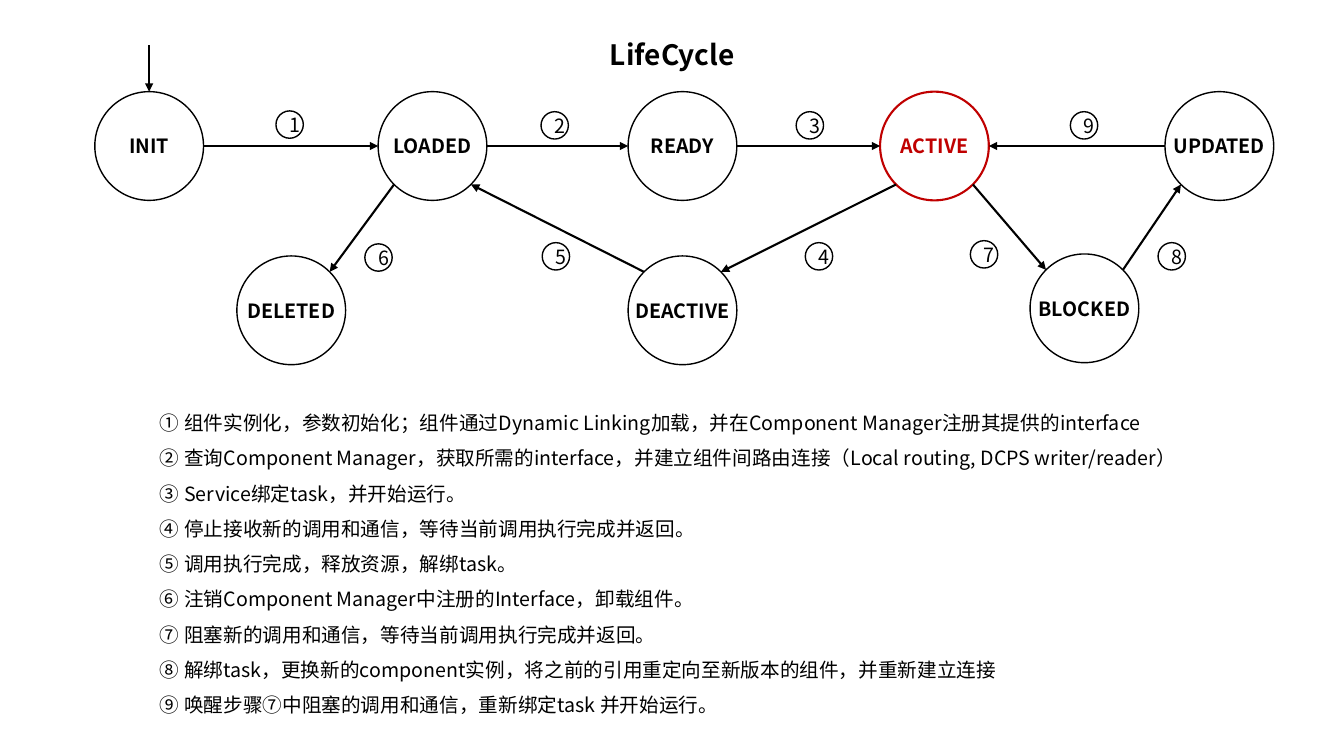
"""Build the component life cycle slide."""
from dataclasses import dataclass
from math import cos, radians, sin

from lxml import etree
from pptx import Presentation
from pptx.dml.color import RGBColor
from pptx.enum.shapes import MSO_CONNECTOR, MSO_SHAPE
from pptx.enum.text import MSO_ANCHOR, MSO_AUTO_SIZE, PP_ALIGN
from pptx.oxml.ns import qn
from pptx.util import Cm, Pt

OVAL = MSO_SHAPE.OVAL
LINE = MSO_CONNECTOR.STRAIGHT
TOP, MIDDLE = MSO_ANCHOR.TOP, MSO_ANCHOR.MIDDLE
CENTER, LEFT = PP_ALIGN.CENTER, PP_ALIGN.LEFT
FIXED = MSO_AUTO_SIZE.NONE


@dataclass(frozen=True)
class Theme:
    """Fonts, colours and sizes of the slide."""
    font: str = "Noto Sans CJK SC"
    ink: RGBColor = RGBColor(0, 0, 0)
    accent: RGBColor = RGBColor(0xC0, 0, 0)
    title: Pt = Pt(20)
    text: Pt = Pt(14)
    thin: Pt = Pt(1)
    thick: Pt = Pt(1.5)


THEME = Theme()
STATE = 2.74
BADGE = 0.69
HIGH, LOW = 3.68, 7.82

STATES = {
    "INIT": (3.76, HIGH),
    "LOADED": (10.9, HIGH),
    "READY": (17.2, HIGH),
    "ACTIVE": (23.55, HIGH),
    "UPDATED": (30.73, HIGH),
    "DELETED": (7.34, LOW),
    "DEACTIVE": (17.2, LOW),
    "BLOCKED": (27.33, 7.77),
}

EAST, SE, SW, WEST, NW, NORTH, NE = 0, 45, 135, 180, 225, 270, 315
MOVES = [
    ("INIT", EAST, "LOADED", WEST, (7.3, 3.14)),
    ("LOADED", EAST, "READY", WEST, (13.98, 3.16)),
    ("READY", EAST, "ACTIVE", WEST, (20.41, 3.16)),
    ("ACTIVE", SW, "DEACTIVE", NE, (20.64, 6.46)),
    ("DEACTIVE", NW, "LOADED", SE, (14.01, 6.46)),
    ("LOADED", SW, "DELETED", NE, (9.54, 6.49)),
    ("ACTIVE", SE, "BLOCKED", NW, (24.8, 6.41)),
    ("BLOCKED", NE, "UPDATED", SW, (29.53, 6.46)),
    ("UPDATED", WEST, "ACTIVE", EAST, (27.32, 3.16)),
]

STEPS = [
    "组件实例化，参数初始化；组件通过Dynamic Linking加载，并在Component Manager注册其提供的interface",
    "查询Component Manager，获取所需的interface，并建立组件间路由连接（Local routing, DCPS writer/reader）",
    "Service绑定task，并开始运行。",
    "停止接收新的调用和通信，等待当前调用执行完成并返回。",
    "调用执行完成，释放资源，解绑task。",
    "注销Component Manager中注册的Interface，卸载组件。",
    "阻塞新的调用和通信，等待当前调用执行完成并返回。",
    "解绑task，更换新的component实例，将之前的引用重定向至新版本的组件，并重新建立连接",
    "唤醒步骤⑦中阻塞的调用和通信，重新绑定task 并开始运行。",
]


def add_run(para, text, size=THEME.text, color=THEME.ink, bold=False):
    """Add one formatted run to a paragraph."""
    run = para.add_run()
    run.text = text
    font = run.font
    font.name, font.size, font.bold = THEME.font, size, bold
    font.color.rgb = color
    etree.SubElement(font._element, qn("a:ea"), typeface=THEME.font)


def add_ring(slide, center, size, text, color=THEME.ink, width=THEME.thin, bold=False):
    """Add an unfilled circle with centred text."""
    x, y = center
    ring = slide.shapes.add_shape(
        OVAL, Cm(x - size / 2), Cm(y - size / 2), Cm(size), Cm(size))
    ring.shadow.inherit = False
    ring.fill.background()
    ring.line.color.rgb = color
    ring.line.width = width
    ring.text_frame.vertical_anchor = MIDDLE
    para = ring.text_frame.paragraphs[0]
    para.alignment = CENTER
    add_run(para, text, color=color, bold=bold)
    return ring


def add_state(slide, name):
    """Add the circle of one state, marking the active one."""
    live = name == "ACTIVE"
    color = THEME.accent if live else THEME.ink
    width = THEME.thick if live else THEME.thin
    ring = add_ring(slide, STATES[name], STATE, name, color, width, True)
    ring.text_frame.word_wrap = False


def find_edge(name, angle):
    """Return the point on a state's circle at an angle in degrees."""
    x, y = STATES[name]
    turn = radians(angle)
    return x + STATE / 2 * cos(turn), y + STATE / 2 * sin(turn)


def add_arrow(slide, start, end):
    """Add a straight arrow between two points."""
    arrow = slide.shapes.add_connector(LINE, *(Cm(v) for v in (*start, *end)))
    arrow.line.color.rgb = THEME.ink
    arrow.line.width = THEME.thick
    etree.SubElement(arrow.line._get_or_add_ln(), qn("a:tailEnd"), type="triangle")
    etree.SubElement(arrow._element.spPr, qn("a:effectLst"))


def place_text(holder, left, top, width, height):
    """Move a placeholder and return its prepared text frame."""
    holder.left, holder.top = Cm(left), Cm(top)
    holder.width, holder.height = Cm(width), Cm(height)
    frame = holder.text_frame
    frame.word_wrap = True
    frame.auto_size = FIXED
    frame.vertical_anchor = TOP
    return frame


def fill_title(holder):
    """Write the slide title."""
    para = place_text(holder, 10.67, 0.81, 12.55, 1.12).paragraphs[0]
    para.alignment = CENTER
    add_run(para, "LifeCycle", THEME.title, bold=True)


def fill_steps(holder):
    """Write the numbered list of steps."""
    frame = place_text(holder, 3.76, 9.93, 28.78, 8.23)
    for i, step in enumerate(STEPS):
        para = frame.add_paragraph() if i else frame.paragraphs[0]
        para.alignment = LEFT
        para.line_spacing = 1.5
        para.space_before = para.space_after = Pt(0)
        props = para._p.get_or_add_pPr()
        props.set("marL", str(Cm(0.63)))
        props.set("indent", str(Cm(-0.63)))
        etree.SubElement(props, qn("a:buFont"), typeface=THEME.font)
        etree.SubElement(props, qn("a:buAutoNum"), type="circleNumDbPlain")
        add_run(para, step)


def main():
    """Build and save the slide."""
    deck = Presentation()
    deck.slide_width, deck.slide_height = Cm(33.87), Cm(19.05)
    slide = deck.slides.add_slide(deck.slide_layouts[1])
    fill_title(slide.shapes.title)
    fill_steps(slide.placeholders[1])
    for name in STATES:
        add_state(slide, name)
    entry = find_edge("INIT", NORTH)
    add_arrow(slide, (entry[0], 1.14), entry)
    for num, (source, leave, target, enter, spot) in enumerate(MOVES, 1):
        add_arrow(slide, find_edge(source, leave), find_edge(target, enter))
        add_ring(slide, spot, BADGE, str(num))
    deck.save("out.pptx")


if __name__ == "__main__":
    main()
